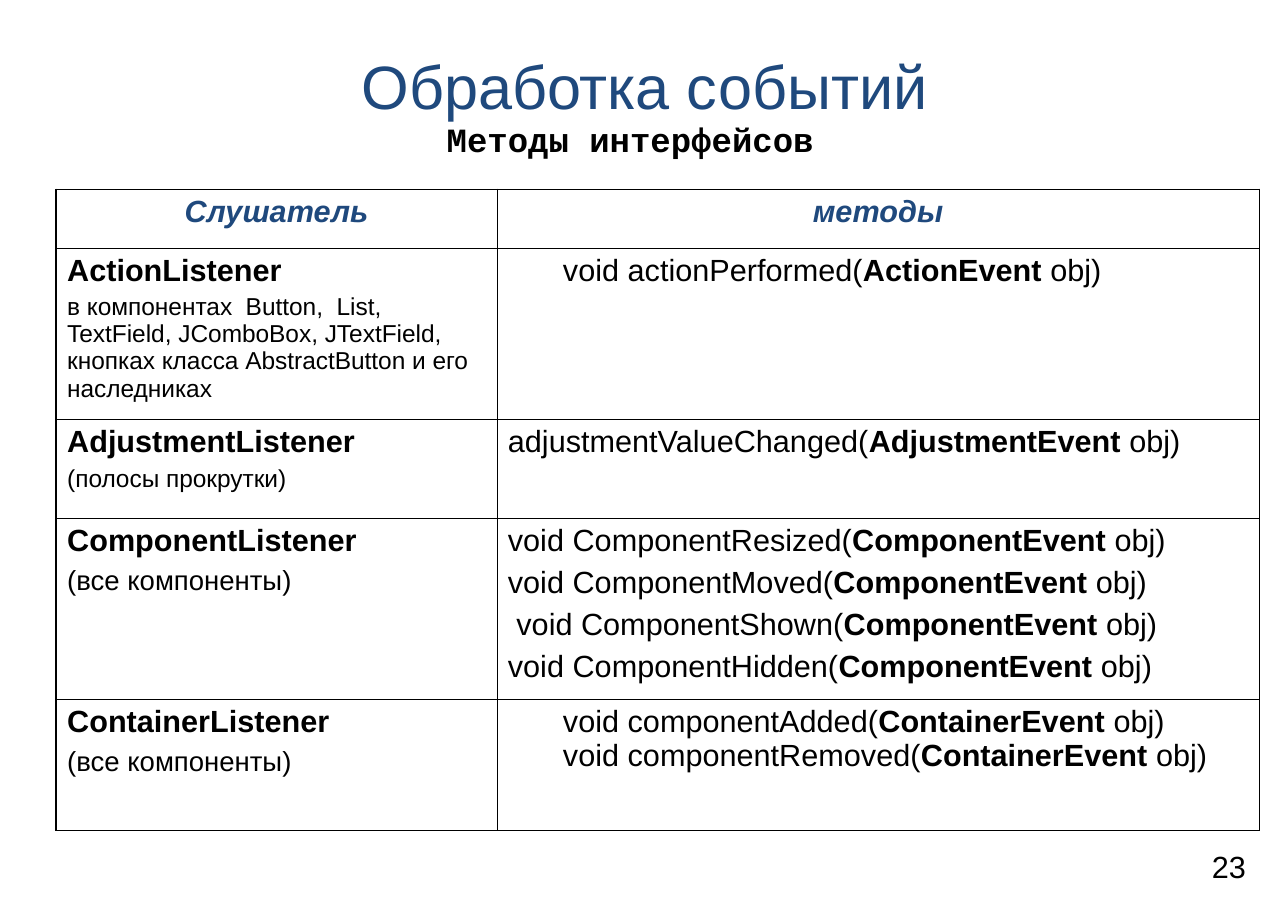
"""Build the slide listing the methods of Java event listener interfaces."""
import lxml.etree
import pptx
import pptx.dml.color
import pptx.enum.text
import pptx.oxml.ns
import pptx.util

Inches, Pt = pptx.util.Inches, pptx.util.Pt
ALIGN = pptx.enum.text.PP_ALIGN
ANCHOR = pptx.enum.text.MSO_ANCHOR

TITLE = "Обработка событий"
SUBTITLE = "Методы интерфейсов"
PAGE_NUMBER = "23"
HEADERS = ("Слушатель", "методы")
LISTENERS = [
    {"name": "ActionListener", "note_size": 16, "indent": 0.5,
     "note": "в компонентах  Button,  List, TextField, JComboBox, JTextField, "
             "кнопках класса AbstractButton и его наследниках",
     "event": "ActionEvent", "methods": ["void actionPerformed("]},
    {"name": "AdjustmentListener", "note_size": 16, "indent": 0,
     "note": "(полосы прокрутки)",
     "event": "AdjustmentEvent", "methods": ["adjustmentValueChanged("]},
    {"name": "ComponentListener", "note_size": 18, "indent": 0,
     "note": "(все компоненты)",
     "event": "ComponentEvent",
     "methods": ["void ComponentResized(", "void ComponentMoved(",
                 " void ComponentShown(", "void ComponentHidden("]},
    {"name": "ContainerListener", "note_size": 18, "indent": 0.5,
     "note": "(все компоненты)",
     "event": "ContainerEvent",
     "methods": ["void componentAdded(", "void componentRemoved("]},
]
TABLE_LEFT, TABLE_TOP = 0.51, 1.72
COLUMN_WIDTHS = (4, 6.92)
ROW_HEIGHTS = (0.53, 1.56, 0.9, 1.64, 1.19)
HEAVY_BOTTOM_ROWS = (3, 4)
THEME = {
    "font": "Arial", "mono": "Courier New",
    "ink": "000000", "accent": "1F497D",
    "title": 40, "subtitle": 22.2, "text": 20,
    "outer": 1.08, "inner": 0.45,
}


def set_font(p, size, color="ink", font="font", bold=None, italic=None):
    f = p.font
    f.name, f.size, f.bold, f.italic = THEME[font], Pt(size), bold, italic
    f.color.rgb = pptx.dml.color.RGBColor.from_string(THEME[color])


def add_text(slide, text, box, size, margins=(0.11, 0.06), align=ALIGN.CENTER,
             anchor=ANCHOR.TOP, wrap=True, **style):
    tf = slide.shapes.add_textbox(*map(Inches, box)).text_frame
    tf.word_wrap, tf.vertical_anchor = wrap, anchor
    tf.margin_left = tf.margin_right = Inches(margins[0])
    tf.margin_top = tf.margin_bottom = Inches(margins[1])
    p = tf.paragraphs[0]
    p.text, p.alignment = text, align
    set_font(p, size, **style)
    return p


def set_borders(cell, row, col):
    last_col = len(COLUMN_WIDTHS) - 1
    heavy = {"L": col == 0, "R": col == last_col, "T": row == 0 or row - 1 in HEAVY_BOTTOM_ROWS,
             "B": row in HEAVY_BOTTOM_ROWS}
    tc_pr = cell._tc.get_or_add_tcPr()
    for i, (side, is_heavy) in enumerate(heavy.items()):
        width = Pt(THEME["outer" if is_heavy else "inner"])
        ln = lxml.etree.Element(pptx.oxml.ns.qn(f"a:ln{side}"), w=str(width))
        fill = lxml.etree.SubElement(ln, pptx.oxml.ns.qn("a:solidFill"))
        lxml.etree.SubElement(fill, pptx.oxml.ns.qn("a:srgbClr"), val=THEME["ink"])
        tc_pr.insert(i, ln)


def fill_listener(tf, listener):
    name, note = tf.paragraphs[0], tf.add_paragraph()
    name.text, note.text = listener["name"], listener["note"]
    set_font(name, THEME["text"], bold=True)
    set_font(note, listener["note_size"])
    note.space_before = Pt(listener["note_size"] / 4)


def fill_methods(tf, listener):
    for i, method in enumerate(listener["methods"]):
        p = tf.add_paragraph() if i else tf.paragraphs[0]
        for text in (method, listener["event"], " obj)"):
            r = p.add_run()
            r.text = text
            r.font.bold = text == listener["event"]
        set_font(p, THEME["text"])
        if listener["indent"]:
            p._p.get_or_add_pPr().set("marL", str(Inches(listener["indent"])))
        elif i:
            p.space_before = Pt(5)


def add_listener_table(slide):
    frame = slide.shapes.add_table(
        len(ROW_HEIGHTS), len(COLUMN_WIDTHS), Inches(TABLE_LEFT), Inches(TABLE_TOP),
        Inches(sum(COLUMN_WIDTHS)), Inches(sum(ROW_HEIGHTS)))
    table = frame.table
    table.first_row = table.horz_banding = False
    for column, width in zip(table.columns, COLUMN_WIDTHS):
        column.width = Inches(width)
    for i, height in enumerate(ROW_HEIGHTS):
        table.rows[i].height = Inches(height)
        for j in range(len(COLUMN_WIDTHS)):
            cell = table.cell(i, j)
            cell.fill.background()
            set_borders(cell, i, j)
    for j, header in enumerate(HEADERS):
        p = table.cell(0, j).text_frame.paragraphs[0]
        p.text, p.alignment = header, ALIGN.CENTER
        set_font(p, THEME["text"], "accent", bold=True, italic=True)
    for i, listener in enumerate(LISTENERS, 1):
        fill_listener(table.cell(i, 0).text_frame, listener)
        fill_methods(table.cell(i, 1).text_frame, listener)


def main():
    prs = pptx.Presentation()
    prs.slide_width, prs.slide_height = Inches(11.69), Inches(8.28)
    slide = prs.slides.add_slide(prs.slide_layouts[6])
    add_text(slide, PAGE_NUMBER, (11, 7.7, 0.36, 0.34), THEME["text"],
             margins=(0, 0), align=ALIGN.LEFT, wrap=False)
    add_text(slide, TITLE, (0.59, 0.33, 10.52, 0.89), THEME["title"],
             anchor=ANCHOR.MIDDLE, color="accent")
    p = add_text(slide, SUBTITLE, (1.26, 1.06, 8.92, 0.5), THEME["subtitle"],
                 font="mono", bold=True)
    p.line_spacing = 0.9
    add_listener_table(slide)
    prs.save("out.pptx")


if __name__ == "__main__":
    main()
